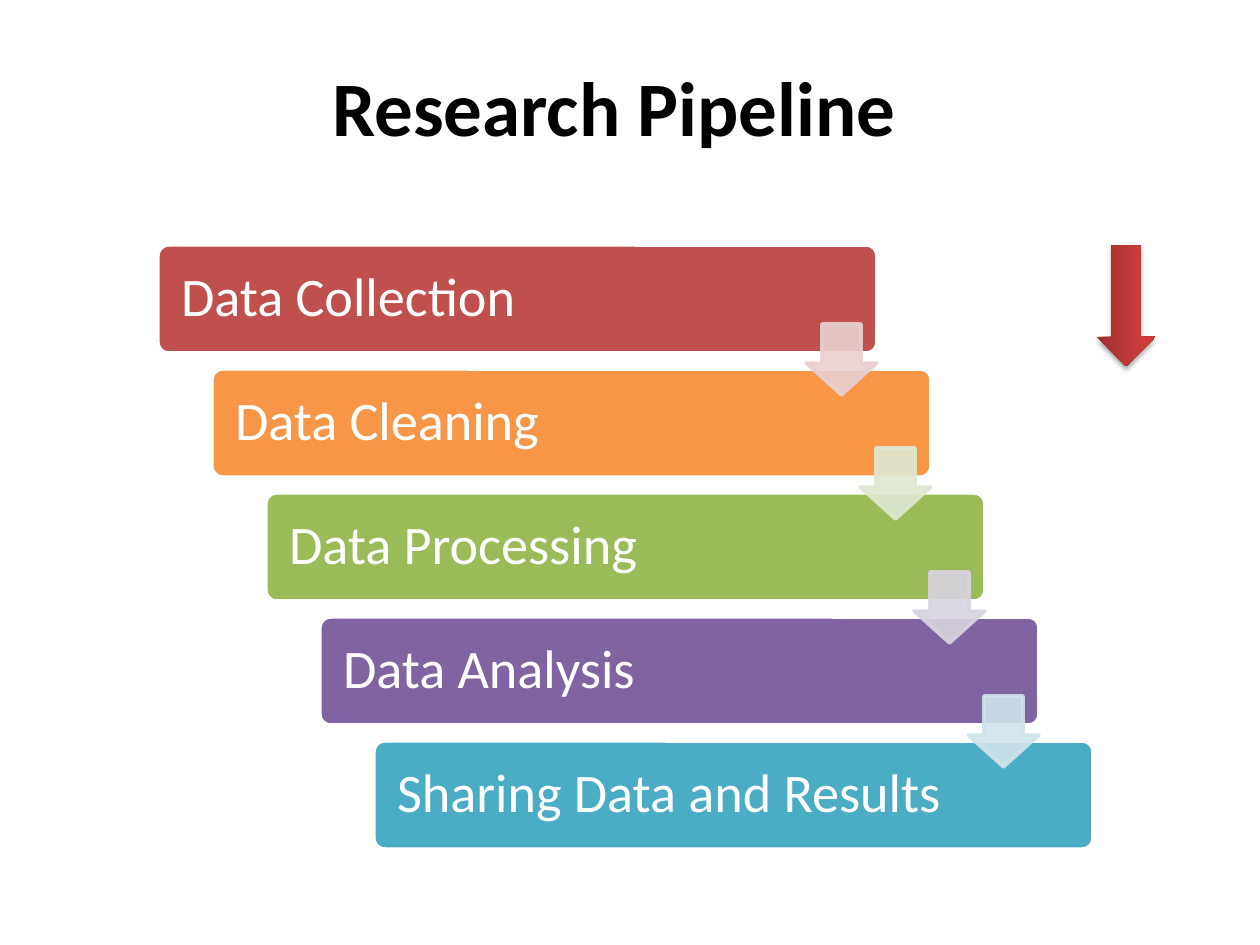
"""Build the Research Pipeline slide: five staggered steps linked by arrows."""
from copy import deepcopy

from lxml import etree
from pptx import Presentation
from pptx.dml.color import RGBColor
from pptx.enum.shapes import MSO_SHAPE
from pptx.enum.text import MSO_ANCHOR, PP_ALIGN
from pptx.oxml.ns import qn
from pptx.util import Emu, Pt

ROUNDED = MSO_SHAPE.ROUNDED_RECTANGLE
DOWN_ARROW = MSO_SHAPE.DOWN_ARROW
RIGHT_ARROW = MSO_SHAPE.RIGHT_ARROW
MIDDLE = MSO_ANCHOR.MIDDLE
LEFT, CENTER = PP_ALIGN.LEFT, PP_ALIGN.CENTER

PX_PER_INCH = 126
STEP_X, STEP_Y = 54, 124
STEPS = [
    ("Data Collection", "C0504D"),
    ("Data Cleaning", "F79646"),
    ("Data Processing", "9BBB59"),
    ("Data Analysis", "8064A2"),
    ("Sharing Data and Results", "4BACC6"),
]
LINK_COLORS = ["E8D0D0", "DEE7D1", "D8D3E0", "D0E3EA"]


def px(length):
    return Emu(round(length * 914400 / PX_PER_INCH))


def rgb(color):
    return RGBColor.from_string(color)


class PipelineSlide:
    font = "Calibri"

    def __init__(self, presentation):
        self.slide = presentation.slides.add_slide(presentation.slide_layouts[5])

    def style_text(self, frame, text, size, color, align, bold=False):
        frame.word_wrap = True
        frame.vertical_anchor = MIDDLE
        paragraph = frame.paragraphs[0]
        paragraph.text = text
        paragraph.alignment = align
        font = paragraph.font
        font.name, font.size, font.bold = self.font, Pt(size), bold
        font.color.rgb = rgb(color)
        return paragraph

    def title(self, text, left, top, width, height):
        heading = self.slide.shapes.title
        heading.left, heading.top = px(left), px(top)
        heading.width, heading.height = px(width), px(height)
        self.style_text(heading.text_frame, text, 44, "000000", CENTER, bold=True)

    def shape(self, preset, left, top, width, height, adjustments=()):
        shape = self.slide.shapes.add_shape(
            preset, px(left), px(top), px(width), px(height))
        shape.shadow.inherit = False
        for index, value in enumerate(adjustments):
            shape.adjustments[index] = value
        return shape

    def paint(self, shape, fill, line):
        shape.fill.solid()
        shape.fill.fore_color.rgb = rgb(fill)
        shape.line.color.rgb = rgb(line)
        shape.line.width = Pt(2)

    def step(self, text, color, left, top):
        bar = self.shape(ROUNDED, left, top, 719, 108, [0.1])
        self.paint(bar, color, "FFFFFF")
        frame = bar.text_frame
        frame.margin_left = frame.margin_right = px(20)
        self.style_text(frame, text, 31, "FFFFFF", LEFT).line_spacing = 0.9

    def link(self, color, left, top):
        arrow = self.shape(DOWN_ARROW, left, top, 71, 71, [0.55, 0.45])
        self.paint(arrow, color, color)
        for tint in arrow._element.spPr.iter(qn("a:srgbClr")):
            etree.SubElement(tint, qn("a:alpha"), val="90000")

    def marker(self, left, top, width, height, stops):
        arrow = self.shape(RIGHT_ARROW, left, top, width, height)
        arrow.rotation = 90
        arrow.line.fill.background()
        arrow.fill.gradient()
        arrow.fill.gradient_angle = 90
        properties = arrow._element.spPr
        stop_list = properties.find(".//" + qn("a:gsLst"))
        stop_list.append(deepcopy(stop_list[-1]))
        for stop, (position, color) in zip(arrow.fill.gradient_stops, stops):
            stop.position = position
            stop.color.rgb = rgb(color)
        shadow = etree.SubElement(
            properties.find(qn("a:effectLst")), qn("a:outerShdw"),
            blurRad=str(Pt(3.1)), dist=str(Pt(1.8)), dir="5400000", rotWithShape="0")
        black = etree.SubElement(shadow, qn("a:srgbClr"), val="000000")
        etree.SubElement(black, qn("a:alpha"), val="35000")


def main():
    presentation = Presentation()
    presentation.slide_width, presentation.slide_height = px(1260), px(945)
    pipeline = PipelineSlide(presentation)
    pipeline.title("Research Pipeline", 147, 53, 935, 106)
    for index, (name, color) in enumerate(STEPS):
        pipeline.step(name, color, 158 + index * STEP_X, 245 + index * STEP_Y)
    for index, color in enumerate(LINK_COLORS):
        pipeline.link(color, 806 + index * STEP_X, 324 + index * STEP_Y)
    pipeline.marker(1065, 276, 122, 59,
                    [(0, "9C2F2D"), (0.8, "CB3E3A"), (1, "CE3B37")])
    presentation.save("out.pptx")


if __name__ == "__main__":
    main()
